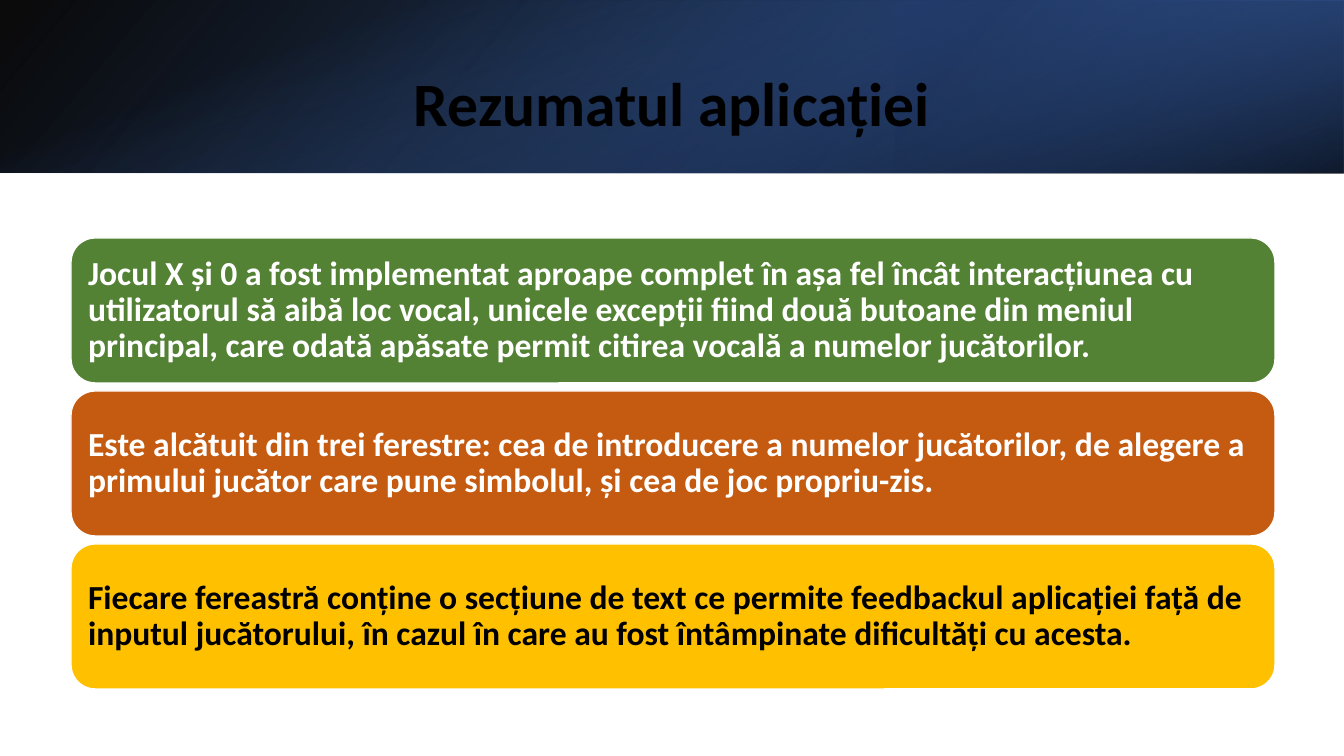
from lxml.etree import SubElement as Sub
from pptx import Presentation
from pptx.dml.color import RGBColor as Rgb
from pptx.enum.shapes import MSO_SHAPE as Form
from pptx.enum.text import MSO_ANCHOR as Anchor, PP_ALIGN as Align
from pptx.oxml.ns import qn
from pptx.util import Pt

WIDE, HIGH, BAND = 1344, 756, 173
SCALE = 12192000 / WIDE
HUES = {
    "black": "000000", "white": "FFFFFF", "deep": "2F5597", "navy": "203864",
    "blue": "4472C4", "green": "548235", "rust": "C55A11", "gold": "FFC000",
}


def px(size):
    return round(size * SCALE)


def hue(name):
    return Rgb.from_string(HUES[name])


def style(item, values):
    for key, value in values.items():
        setattr(item, key, value)


class Deck:
    """Draw styled elements on the current slide."""

    font = {"name": "Calibri", "bold": True}

    def __init__(self):
        self.prs = Presentation()
        style(self.prs, {"slide_width": px(WIDE), "slide_height": px(HIGH)})
        self.slide = self.prs.slides.add_slide(self.prs.slide_layouts[6])

    def shape(self, form, box):
        item = self.slide.shapes.add_shape(form, *map(px, box))
        item.shadow.inherit = False
        return item

    def wash(self, box, stops, angle, turn=0, flip=False):
        item = self.shape(Form.RECTANGLE, box)
        item.line.fill.background()
        item.rotation = turn
        if flip:
            item._element.spPr.xfrm.set("flipH", "1")
        item.fill.gradient()
        item.fill.gradient_angle = 360 - angle
        for stop, (place, name, alpha) in zip(item.fill.gradient_stops, stops):
            stop.position = place / 100
            stop.color.rgb = hue(name)
            tint = stop._gs.find(qn("a:srgbClr"))
            Sub(tint, qn("a:alpha")).set("val", str(alpha * 1000))

    def label(self, frame, text, size, color, para):
        frame.word_wrap = True
        line = frame.paragraphs[0]
        style(line, {"alignment": Align.LEFT, **para})
        run = line.add_run()
        run.text = text
        style(run.font, {**self.font, "size": Pt(size)})
        run.font.color.rgb = hue(color)

    def card(self, box, text, fill, color):
        item = self.shape(Form.ROUNDED_RECTANGLE, box)
        item.fill.solid()
        item.fill.fore_color.rgb = hue(fill)
        item.line.color.rgb = hue("white")
        item.line.width = Pt(1)
        frame = item.text_frame
        sides = ("left", "top", "right", "bottom")
        style(frame, {f"margin_{side}": px(10) for side in sides})
        frame.vertical_anchor = Anchor.MIDDLE
        self.label(frame, text, 24, color, {"line_spacing": 0.9})

    def title(self, box, text):
        item = self.slide.shapes.add_textbox(*map(px, box))
        self.label(item.text_frame, text, 44, "black", {})


CARDS = [
    ("Jocul X și 0 a fost implementat aproape complet în așa fel încât "
     "interacțiunea cu utilizatorul să aibă loc vocal, unicele excepții fiind "
     "două butoane din meniul principal, care odată apăsate permit citirea "
     "vocală a numelor jucătorilor.", "green", "white"),
    ("Este alcătuit din trei ferestre: cea de introducere a numelor "
     "jucătorilor, de alegere a primului jucător care pune simbolul, și cea "
     "de joc propriu-zis.", "rust", "white"),
    ("Fiecare fereastră conține o secțiune de text ce permite feedbackul "
     "aplicației față de inputul jucătorului, în cazul în care au fost "
     "întâmpinate dificultăți cu acesta.", "gold", "black"),
]


def main():
    deck = Deck()
    deck.wash((0, 0, WIDE, BAND), [(0, "black", 96), (100, "deep", 100)],
              140, flip=True)
    deck.wash((896, 0, 448, BAND), [(19, "navy", 68), (100, "blue", 79)],
              320, turn=180, flip=True)
    mid = (WIDE - BAND) // 2
    deck.wash((mid, -mid, BAND, WIDE), [(23, "blue", 0), (99, "black", 74)],
              340, turn=90)
    for row, (text, fill, color) in enumerate(CARDS):
        deck.card((71, 238 + 153 * row, 1204, 145), text, fill, color)
    deck.title((404, 60, 577, 85), "Rezumatul aplicației")
    deck.prs.save("out.pptx")


if __name__ == "__main__":
    main()
